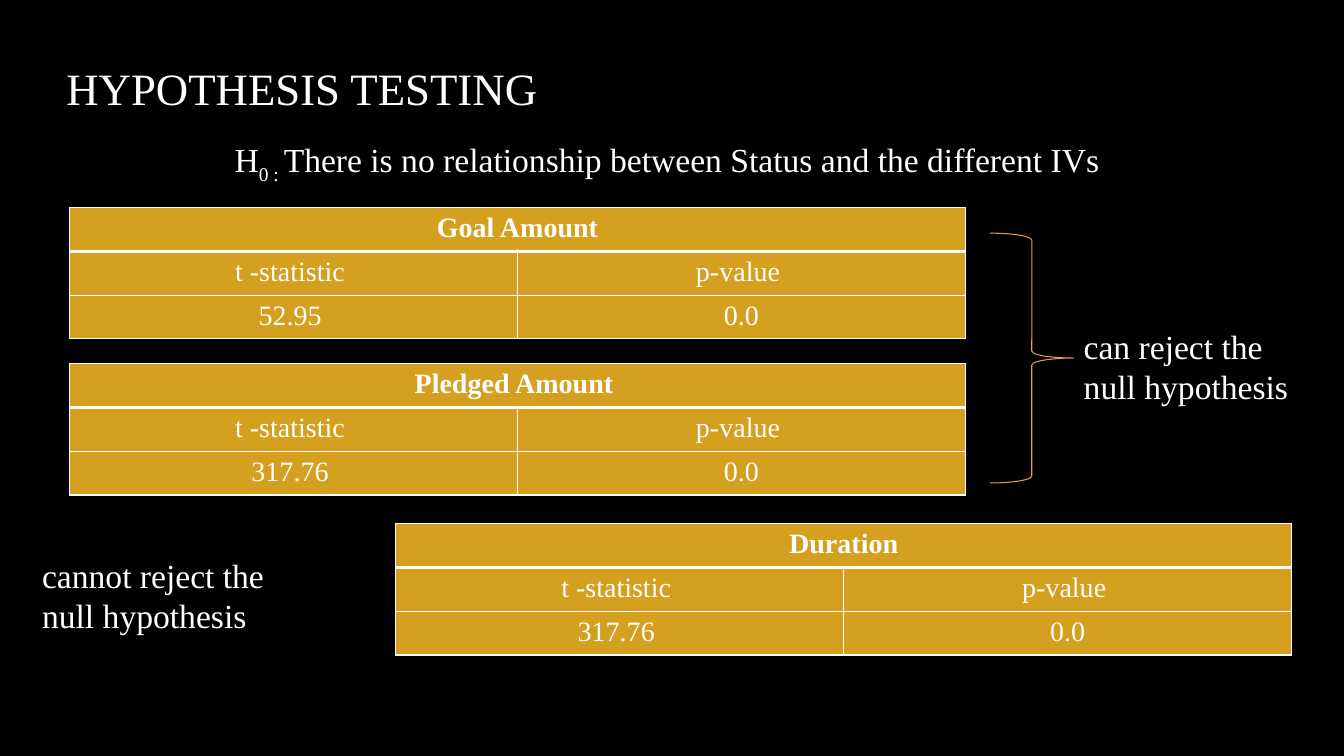
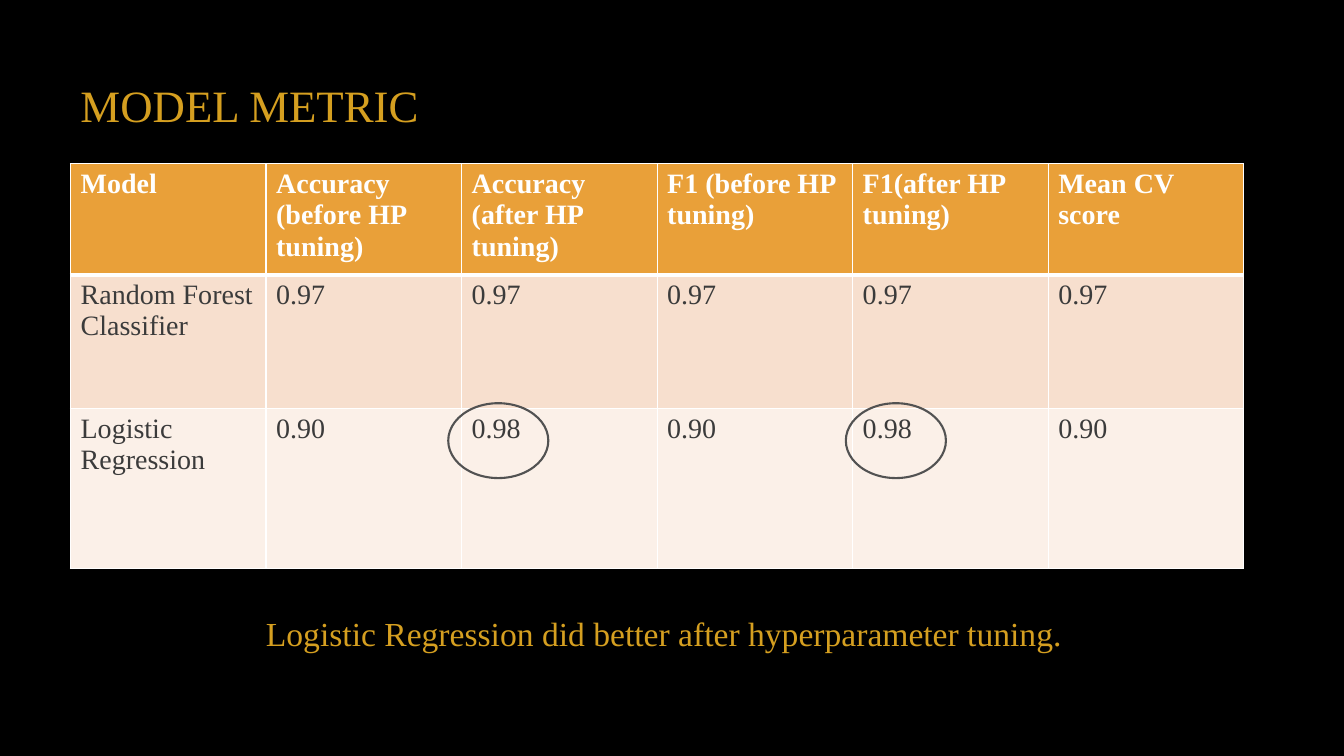
from dataclasses import dataclass

from lxml import etree
from pptx import Presentation
from pptx.dml.color import RGBColor
from pptx.enum.shapes import MSO_SHAPE
from pptx.enum.text import MSO_ANCHOR, PP_ALIGN
from pptx.oxml.ns import qn
from pptx.util import Pt

BRACE, ELLIPSE = MSO_SHAPE.RIGHT_BRACE, MSO_SHAPE.OVAL
LEFT, CENTER = PP_ALIGN.LEFT, PP_ALIGN.CENTER
TOP, MIDDLE = MSO_ANCHOR.TOP, MSO_ANCHOR.MIDDLE
BLANK = 6


@dataclass(frozen=True)
class Theme:
    font: str = "Times New Roman"
    background: str = "000000"
    light: str = "FFFFFF"
    gold: str = "D59F20"
    orange: str = "E9A039"
    dark: str = "3B3B3B"
    ring: str = "525252"
    bands: tuple = ("F7DFCE", "FBF0E8")
    title_size: int = 32
    body_size: int = 24
    table_size: int = 20
    thin: int = 1
    thick: int = 3


THEME = Theme()


def color(code):
    return RGBColor.from_string(code)


def points(*lengths):
    return [Pt(length) for length in lengths]


# Text
def add_span(para, text, size, ink, baseline=0, bold=False):
    span = para.add_run()
    span.text = text
    formats = {"name": THEME.font, "size": Pt(size), "bold": bold}
    for name, value in formats.items():
        setattr(span.font, name, value)
    span.font.color.rgb = color(ink)
    if baseline:
        span.font.size = Pt(size)
        span._r.get_or_add_rPr().set("baseline", str(baseline * 1000))


def add_text(page, place, spans, ink, size=THEME.body_size, anchor=TOP):
    """Each span is a (text, baseline percentage) pair."""
    frame = page.shapes.add_textbox(*points(*place)).text_frame
    for name, value in {"word_wrap": True, "vertical_anchor": anchor}.items():
        setattr(frame, name, value)
    for text, baseline in spans:
        add_span(frame.paragraphs[0], text, size, ink, baseline)


def add_title(page, left, top, text, ink):
    add_text(page, (left, top, 780, 150), [(text, 0)], ink, THEME.title_size, MIDDLE)


# Tables
def add_border(cell, side, width):
    line = etree.SubElement(cell._tc.get_or_add_tcPr(), qn(f"a:ln{side}"),
                            w=str(int(Pt(width))))
    fill = etree.SubElement(line, qn("a:solidFill"))
    etree.SubElement(fill, qn("a:srgbClr"), val=THEME.light)


def style_cell(cell, row, fill):
    widths = {"L": THEME.thin, "R": THEME.thin,
              "T": THEME.thick if row == 1 else THEME.thin,
              "B": THEME.thick if row == 0 else THEME.thin}
    for side, width in widths.items():
        add_border(cell, side, width)
    cell.fill.solid()
    cell.fill.fore_color.rgb = color(fill)


def add_grid(page, left, top, width, heights, rows, fills, inks, align):
    count = len(rows[-1])
    frame = page.shapes.add_table(len(rows), count,
                                  *points(left, top, width, sum(heights)))
    table = frame.table
    table.horz_banding = False
    for column in table.columns:
        column.width = Pt(width / count)
    for index, (texts, height) in enumerate(zip(rows, heights)):
        table.rows[index].height = Pt(height)
        for cell in table.rows[index].cells:
            style_cell(cell, index, fills[index])
        if len(texts) < count:
            table.cell(index, 0).merge(table.cell(index, count - 1))
        for column, text in enumerate(texts):
            para = table.cell(index, column).text_frame.paragraphs[0]
            para.alignment = align
            add_span(para, text, THEME.table_size, inks[index], bold=index == 0)


def add_test(page, left, top, name, statistic):
    rows = [[name], ["t -statistic ", "p-value "], [statistic, "0.0"]]
    add_grid(page, left, top, 640, [29.5] * 3, rows,
             [THEME.gold] * 3, [THEME.light] * 3, CENTER)


# Outlined marks
def add_outline(page, kind, place, ink, width):
    shape = page.shapes.add_shape(kind, *points(*place))
    shape.shadow.inherit = False
    shape.fill.background()
    shape.line.color.rgb = color(ink)
    shape.line.width = Pt(width)


# Slides
def build_hypothesis(page):
    add_title(page, 40.3, -12.3, "HYPOTHESIS TESTING", THEME.light)
    tests = [(49.7, 148.3, "Goal Amount", "52.95 "),
             (49.7, 259.8, "Pledged Amount ", "317.76 "),
             (282.7, 374.2, "Duration", "317.76 ")]
    for test in tests:
        add_test(page, *test)
    add_outline(page, BRACE, (707, 166.5, 60, 178.5), THEME.orange, 0.75)
    notes = [
        ((767, 229, 170, 65.5), [("can reject the null hypothesis", 0)]),
        ((23, 392.5, 202, 65.5), [("cannot reject the null hypothesis", 0)]),
        ((160.5, 95.8, 780, 36), [
            ("H", 0), ("0 : ", -25),
            ("There is no relationship between Status and the different IVs", 0)]),
    ]
    for place, spans in notes:
        add_text(page, place, spans, THEME.light)


def build_metrics(page):
    add_title(page, 50.4, 0, "MODEL METRIC", THEME.gold)
    rows = [
        ["Model", "Accuracy (before HP tuning)", "Accuracy (after HP tuning)",
         "F1 (before HP tuning)", "F1(after HP tuning)", "Mean CV score"],
        ["Random Forest Classifier"] + ["0.97"] * 5,
        ["Logistic Regression", "0.90", "0.98", "0.90", "0.98", "0.90"],
    ]
    add_grid(page, 50.4, 117, 838, [73.5, 95.5, 114.5], rows,
             [THEME.orange, *THEME.bands],
             [THEME.light, THEME.dark, THEME.dark], LEFT)
    add_text(page, (182.9, 434, 767, 36),
             [("Logistic Regression did better after hyperparameter tuning.", 0)],
             THEME.gold)
    for left in (320.2, 604.2):
        add_outline(page, ELLIPSE, (left, 288, 71.5, 53.5), THEME.ring, 1.5)


def main():
    deck = Presentation()
    deck.slide_width, deck.slide_height = points(960, 540)
    backdrop = deck.slide_master.background.fill
    backdrop.solid()
    backdrop.fore_color.rgb = color(THEME.background)
    for build in (build_hypothesis, build_metrics):
        build(deck.slides.add_slide(deck.slide_layouts[BLANK]))
    deck.save("out.pptx")


if __name__ == "__main__":
    main()
